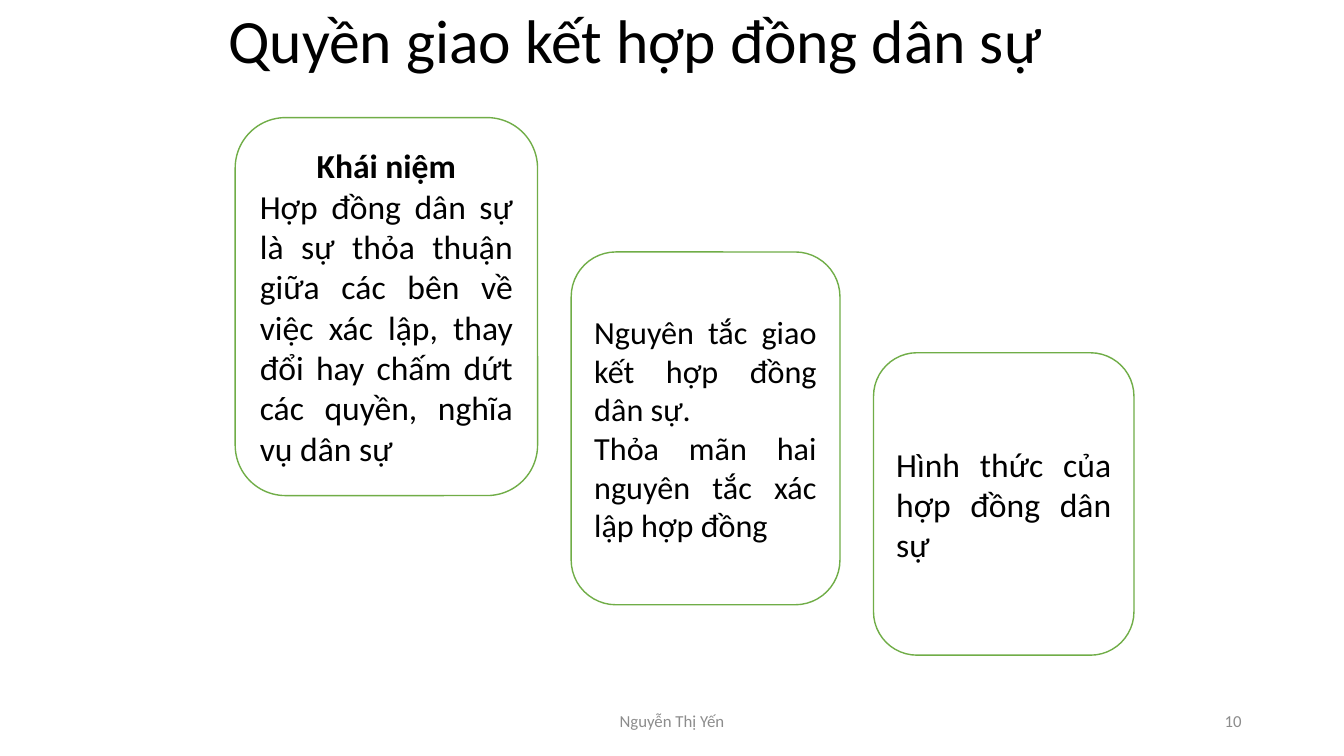
import pptx
import pptx.dml.color
import pptx.enum.shapes
import pptx.enum.text
import pptx.util

Pt = pptx.util.Pt
ALIGN = pptx.enum.text.PP_ALIGN

BLACK = pptx.dml.color.RGBColor(0x00, 0x00, 0x00)
WHITE = pptx.dml.color.RGBColor(0xFF, 0xFF, 0xFF)
GREEN = pptx.dml.color.RGBColor(0x70, 0xAD, 0x47)
GRAY = pptx.dml.color.RGBColor(0x8C, 0x8C, 0x8C)

FONT = "Calibri"
CARDS_LEFT = 168
CARD_GAP = 24
FOOTER_TOP = 500.4
FOOTER_HEIGHT = 28.8

# Each card: top, width, height, font size, paragraphs (text, alignment, bold)
CARDS = [
    (84, 216, 270, 24, [
        ("Khái niệm", ALIGN.CENTER, True),
        ("Hợp đồng dân sự là sự thỏa thuận giữa các bên về việc xác lập, "
         "thay đổi hay chấm dứt các quyền, nghĩa vụ dân sự", ALIGN.JUSTIFY, False),
    ]),
    (180, 192, 252, 23, [
        ("Nguyên tắc giao kết hợp đồng dân sự.", ALIGN.JUSTIFY, False),
        ("Thỏa mãn hai nguyên tắc xác lập hợp đồng", ALIGN.JUSTIFY, False),
    ]),
    (252, 186, 216, 24, [
        ("Hình thức của hợp đồng dân sự", ALIGN.JUSTIFY, False),
    ]),
]


def write_text(paragraph, text, size=24, color=BLACK, bold=False,
               alignment=ALIGN.LEFT, line_spacing=1.0):
    paragraph.alignment = alignment
    paragraph.line_spacing = line_spacing
    paragraph.space_before = Pt(0)
    run = paragraph.add_run()
    run.text = text
    run.font.name = FONT
    run.font.size = Pt(size)
    run.font.bold = bold
    run.font.color.rgb = color


def prepare_frame(shape):
    frame = shape.text_frame
    frame.word_wrap = True
    frame.auto_size = pptx.enum.text.MSO_AUTO_SIZE.NONE
    frame.vertical_anchor = pptx.enum.text.MSO_ANCHOR.MIDDLE
    return frame


def set_title(slide, text):
    title = slide.shapes.title
    title.left, title.top = Pt(156), Pt(0)
    title.width, title.height = Pt(648), Pt(62.64)
    write_text(prepare_frame(title).paragraphs[0], text, size=44, line_spacing=0.9)


def add_card(slide, left, top, width, height, size, paragraphs):
    card = slide.shapes.add_shape(
        pptx.enum.shapes.MSO_SHAPE.ROUNDED_RECTANGLE,
        Pt(left), Pt(top), Pt(width), Pt(height))
    card.shadow.inherit = False
    card.fill.solid()
    card.fill.fore_color.rgb = WHITE
    card.line.color.rgb = GREEN
    card.line.width = Pt(1)
    frame = prepare_frame(card)
    for index, (text, alignment, bold) in enumerate(paragraphs):
        paragraph = frame.add_paragraph() if index else frame.paragraphs[0]
        write_text(paragraph, text, size=size, alignment=alignment, bold=bold)


def add_footer(slide, text, left, width, alignment):
    box = slide.shapes.add_textbox(Pt(left), Pt(FOOTER_TOP), Pt(width), Pt(FOOTER_HEIGHT))
    write_text(prepare_frame(box).paragraphs[0], text, size=12, color=GRAY,
               alignment=alignment)


def main():
    presentation = pptx.Presentation()
    presentation.slide_width = Pt(960)
    presentation.slide_height = Pt(540)
    slide = presentation.slides.add_slide(presentation.slide_layouts[5])

    # Title
    set_title(slide, "Quyền giao kết hợp đồng dân sự")

    # Author and page number
    add_footer(slide, "Nguyễn Thị Yến", 318, 324, ALIGN.CENTER)
    add_footer(slide, "10", 678, 216, ALIGN.RIGHT)

    # Descending cards with equal gaps
    left = CARDS_LEFT
    for top, width, height, size, paragraphs in CARDS:
        add_card(slide, left, top, width, height, size, paragraphs)
        left += width + CARD_GAP

    presentation.save("out.pptx")


if __name__ == "__main__":
    main()
